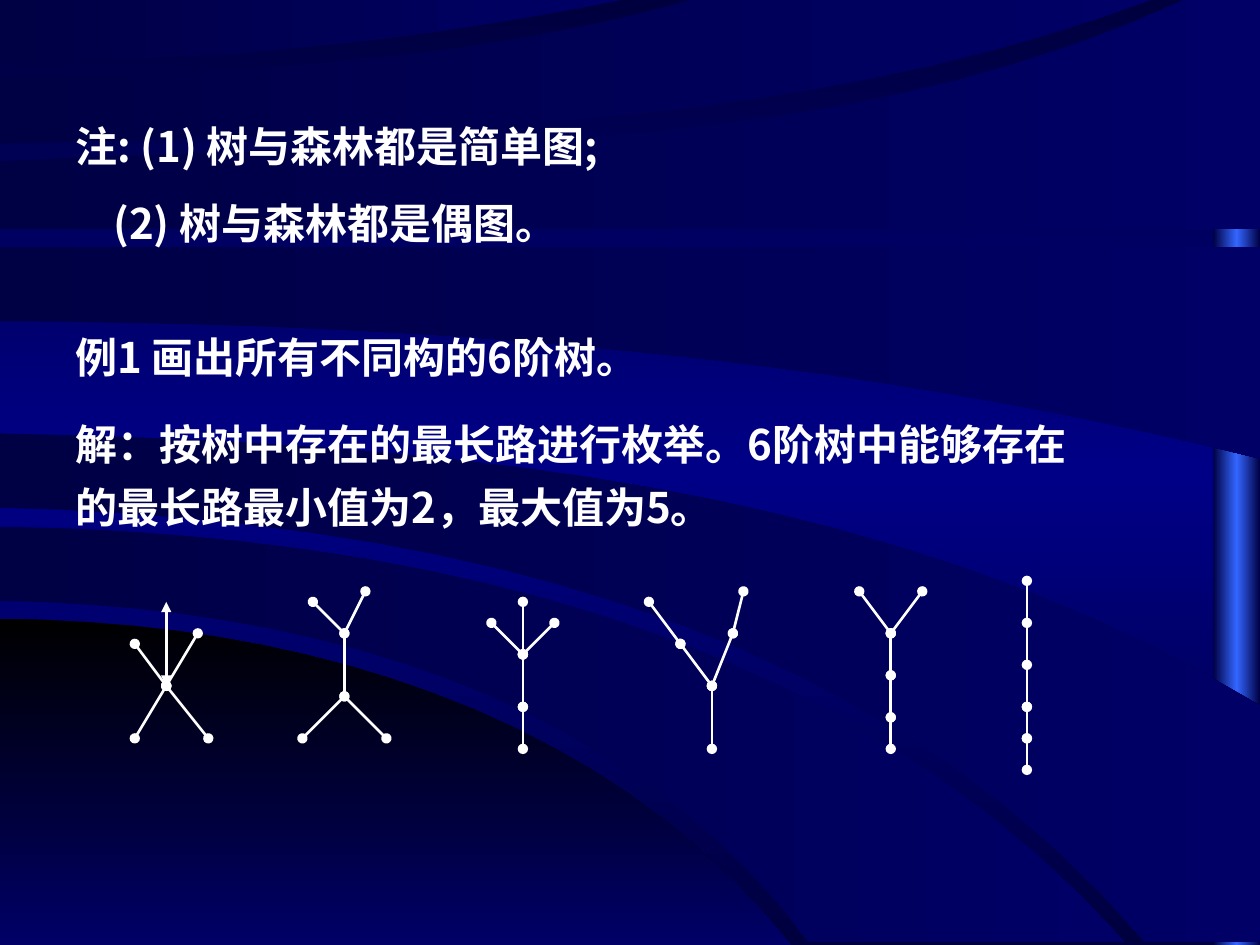
from itertools import pairwise
from math import dist, prod

from lxml.etree import SubElement
from pptx import Presentation
from pptx.dml.color import RGBColor
from pptx.enum.shapes import MSO_CONNECTOR, MSO_SHAPE
from pptx.enum.text import MSO_AUTO_SIZE
from pptx.oxml.ns import qn
from pptx.util import Inches, Pt

WHITE = RGBColor(0xFF, 0xFF, 0xFF)
BLACK = RGBColor(0x00, 0x00, 0x00)
DARK_NAVY = RGBColor(0x00, 0x00, 0x3E)
BRIGHT_NAVY = RGBColor(0x00, 0x00, 0x86)
BAND_DARK = RGBColor(0x00, 0x00, 0x44)
BAND_LIGHT = RGBColor(0x00, 0x00, 0x66)
EDGE_BLUE = RGBColor(0x33, 0x66, 0xFF)
FONT = "Noto Sans CJK SC"
CELL = Inches(1) / 12  # grid on which the tree vertices lie
CURVE_STEPS = 20

# An outline is a curve's knots, then the knots of the way back
DISC = ([(0, 4.91), (2.18, 5.14), (4.25, 5.86), (6.28, 7.5)], [(0, 7.5)])
BANDS = [
    ([(0, 4.18), (3.35, 4.52), (6.44, 5.57), (8.93, 7.48)],
     [(6.42, 7.48), (4.54, 5.84), (2.21, 5), (0, 4.77)]),
    ([(0, 3.44), (3.43, 3.63), (6.93, 4.28), (10, 5.6)], [(10, 7.48)],
     [(9.09, 7.48), (6.36, 5.37), (3.11, 4.33), (0, 4.03)]),
    ([(0, 2.55), (3.32, 2.65), (6.62, 2.98), (10, 3.64)], [(10, 1.96)], [(0, 1.96)]),
    ([(0, 1.28), (3.72, 1.15), (7.34, 0.7), (9.4, 0)],
     [(10, 0)], [(10, 1.82)], [(0, 1.82)]),
    ([(0, 1.14), (3.41, 1.03), (6.83, 0.64), (9.13, 0)],
     [(5.49, 0), (4.16, 0.3), (2.33, 0.52), (0, 0.61)]),
    ([(0, 0.47), (1.73, 0.43), (3.46, 0.25), (4.92, 0)], [(0, 0)]),
]

# top, height, indent, line spacing, text
TEXTS = [
    (0.91, 0.5, 0, 1, "注: (1) 树与森林都是简单图;"),
    (1.52, 0.5, 0.3, 1, "(2) 树与森林都是偶图。"),
    (2.58, 0.5, 0, 1, "例1 画出所有不同构的6阶树。"),
    (3.17, 1.1, 0, 1.25,
     "解：按树中存在的最长路进行枚举。6阶树中能够存在的最长路最小值为2，最大值为5。"),
]

# left, then chains of vertices in grid cells, each with its end mark
TREES = [
    (1.07, [("triangle", [(3, 2), (3, 10)]),
            ("oval", [(0, 6), (3, 10), (6, 5)]),
            ("oval", [(0, 15), (3, 10), (7, 15)])]),
    (2.4, [("oval", [(1, 2), (4, 5), (6, 1)]),
           (None, [(4, 5), (4, 11)]),
           ("oval", [(0, 15), (4, 11), (8, 15)])]),
    (3.9, [("oval", [(3, 2), (3, 7), (3, 12), (3, 16)]),
           ("oval", [(0, 4), (3, 7), (6, 4)])]),
    (5.15, [("oval", [(0, 2), (3, 6), (6, 10), (6, 16)]),
            ("oval", [(9, 1), (8, 5), (6, 10)])]),
    (6.82, [("oval", [(0, 1), (3, 5), (3, 9), (3, 13), (3, 16)]),
            ("oval", [(6, 1), (3, 5)])]),
    (8.15, [("oval", [(0, 0), (0, 4)]),
            (None, [(0, 4), (0, 8)]),
            ("oval", [(0, 8), (0, 12), (0, 15), (0, 18)])]),
]


def smooth(knots):
    """Points of the polynomial curve through the knots, by chord length."""
    if len(knots) == 1:
        return knots
    times = [0]
    for start, end in pairwise(knots):
        times.append(times[-1] + dist(start, end))
    points = []
    for step in range(CURVE_STEPS + 1):
        time = times[-1] * step / CURVE_STEPS
        weights = [prod((time - other) / (own - other)
                        for other in times if other != own) for own in times]
        points.append([sum(weight * value for weight, value in zip(weights, axis))
                       for axis in zip(*knots)])
    return points


def set_gradient(fill, element, colors, angle):
    """Spread the colours evenly; the angle runs clockwise in degrees."""
    fill.gradient()
    gradient = next(element.iter(qn("a:gradFill")))
    stops = gradient.find(qn("a:gsLst"))
    for stop in list(stops):
        stops.remove(stop)
    for index, color in enumerate(colors):
        position = index * 100000 // (len(colors) - 1)
        stop = SubElement(stops, qn("a:gs"), pos=str(position))
        SubElement(stop, qn("a:srgbClr"), val=str(color))
    gradient.find(qn("a:lin")).set("ang", str(angle * 60000))


def style_backdrop(shape, colors, angle):
    shape.shadow.inherit = False
    shape.line.fill.background()
    set_gradient(shape.fill, shape._element, colors, angle)


def add_outline(page, pieces, colors, angle):
    corners = [(Inches(x), Inches(y)) for knots in pieces for x, y in smooth(knots)]
    builder = page.shapes.build_freeform(*corners[0])
    builder.add_line_segments(corners[1:], close=True)
    style_backdrop(builder.convert_to_shape(), colors, angle)


def add_backdrop(page):
    set_gradient(page.background.fill, page._element,
                 [DARK_NAVY, BRIGHT_NAVY, DARK_NAVY], 90)
    strip = page.shapes.add_shape(MSO_SHAPE.RECTANGLE, Inches(9.63), 0,
                                  Inches(0.37), Inches(7.5))
    style_backdrop(strip, [BAND_DARK, EDGE_BLUE, BAND_DARK], 0)
    add_outline(page, DISC, [BLACK, BAND_LIGHT], 90)
    for band in BANDS:
        add_outline(page, band, [BAND_DARK, BAND_LIGHT], 0)


def add_text(page, left, top, width, height, indent, spacing, text):
    box = page.shapes.add_textbox(left, top, width, height)
    frame = box.text_frame
    frame.text = text
    frame.word_wrap = True
    frame.auto_size = MSO_AUTO_SIZE.SHAPE_TO_FIT_TEXT
    para = frame.paragraphs[0]
    para.line_spacing = spacing
    if indent:
        para._p.get_or_add_pPr().set("marL", str(Inches(indent)))
    span = para.runs[0]
    span.font.name = FONT
    span.font.size = Pt(24)
    span.font.bold = True
    span.font.color.rgb = WHITE
    SubElement(span._r.get_or_add_rPr(), qn("a:ea"), typeface=FONT)


def add_edge(shapes, start, end, mark):
    edge = shapes.add_connector(MSO_CONNECTOR.STRAIGHT, *start, *end)
    edge.line.color.rgb = WHITE
    edge.line.width = Pt(1.5)
    if mark:
        line = edge.line._get_or_add_ln()
        for side in ("a:headEnd", "a:tailEnd"):
            SubElement(line, qn(side), type=mark)
    SubElement(edge._element.spPr, qn("a:effectLst"))


def add_tree(page, left, top, chains):
    group = page.shapes.add_group_shape()
    for mark, cells in chains:
        vertices = [(round(left + x * CELL), round(top + y * CELL)) for x, y in cells]
        for start, end in pairwise(vertices):
            add_edge(group.shapes, start, end, mark)


def main():
    deck = Presentation()
    deck.slide_width, deck.slide_height = Inches(10), Inches(7.5)
    page = deck.slides.add_slide(deck.slide_layouts[6])
    add_backdrop(page)
    for top, height, indent, spacing, text in TEXTS:
        add_text(page, Inches(0.5), Inches(top), Inches(8.25), Inches(height),
                 indent, spacing, text)
    for left, chains in TREES:
        add_tree(page, Inches(left), Inches(4.61), chains)
    deck.save("out.pptx")


if __name__ == "__main__":
    main()
